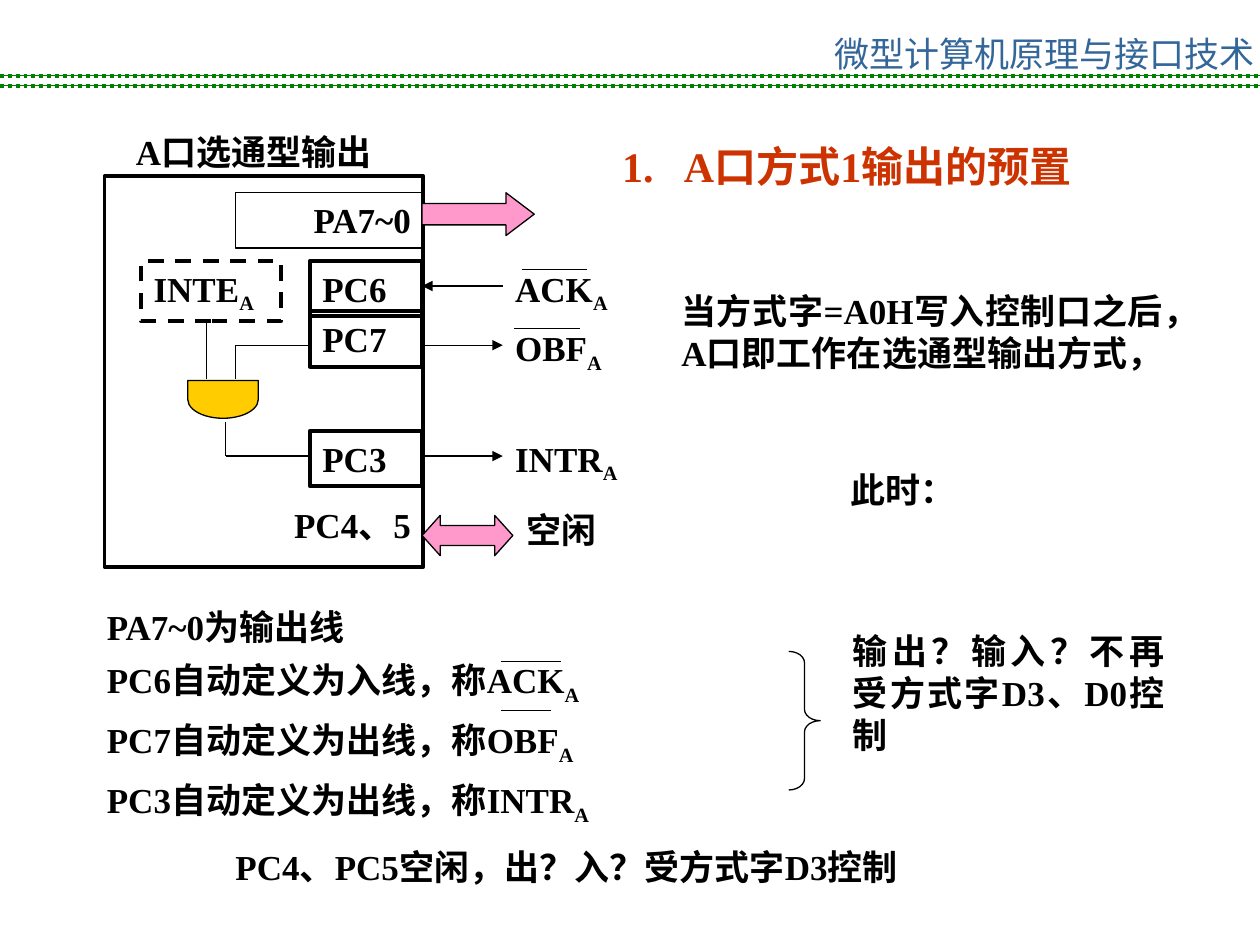
from lxml import etree
from pptx import Presentation
from pptx import util as u
from pptx.dml.color import RGBColor
from pptx.enum import dml, shapes, text
from pptx.oxml.ns import qn

BLACK, GREEN, BLUE, RED = "000000", "008000", "336699", "CC3300"
PINK, YELLOW = "FF99CC", "FFCC00"
LATIN, CHINESE = "Times New Roman", "Noto Sans CJK SC"
LEFT, RIGHT, JUSTIFY = text.PP_ALIGN.LEFT, text.PP_ALIGN.RIGHT, text.PP_ALIGN.JUSTIFY
CHIP_EDGE = 3.35


def color(value):
    """Turn a hex string into a colour."""
    return RGBColor.from_string(value)


def set_all(target, values):
    """Set every attribute named in a dict of format values."""
    for name, value in values.items():
        setattr(target, name, value)


def add_run(paragraph, content, size, ink, font, bold, subscript=False):
    """Add one formatted run to a paragraph."""
    run = paragraph.add_run()
    run.text = content
    set_all(run.font, {"size": u.Pt(size), "name": font, "bold": bold})
    run.font.color.rgb = color(ink)
    properties = run._r.get_or_add_rPr()
    etree.SubElement(properties, qn("a:ea")).set("typeface", CHINESE)
    if subscript:
        properties.set("baseline", "-25000")


def write(shape, lines, align=LEFT, size=20, ink=BLACK, font=LATIN, bold=True, spacing=None):
    """Write lines into a shape; an underscore starts a subscript."""
    frame = shape.text_frame
    set_all(frame, {"word_wrap": True, "vertical_anchor": text.MSO_ANCHOR.TOP})
    for index, line in enumerate(lines):
        paragraph = frame.add_paragraph() if index else frame.paragraphs[0]
        set_all(paragraph, {"alignment": align, "line_spacing": spacing})
        for part, content in enumerate(line.split("_")):
            add_run(paragraph, content, size, ink, font, bold, part == 1)


def add_text(slide, box, *lines, **style):
    """Add a text box."""
    shape = slide.shapes.add_textbox(*map(u.Inches, box))
    write(shape, lines, **style)
    return shape


def add_shape(slide, kind, box, fill=None, width=0.75, dash=None, rotation=0, adjustments=()):
    """Add an outlined preset shape."""
    shape = slide.shapes.add_shape(kind, *map(u.Inches, box))
    shape.shadow.inherit = False
    shape.rotation = rotation
    if fill:
        shape.fill.solid()
        shape.fill.fore_color.rgb = color(fill)
    else:
        shape.fill.background()
    shape.line.color.rgb = color(BLACK)
    set_all(shape.line, {"width": u.Pt(width), "dash_style": dash})
    for index, value in enumerate(adjustments):
        shape.adjustments[index] = value
    return shape


def add_block(slide, box, label, align=LEFT, **style):
    """Add a labelled rectangle."""
    shape = add_shape(slide, shapes.MSO_SHAPE.RECTANGLE, box, **style)
    write(shape, [label], align)


def add_line(slide, x1, y1, x2, y2, ink=BLACK, width=0.75, dash=None, arrow=None):
    """Add a straight line, with an arrowhead at headEnd or tailEnd if named."""
    line = slide.shapes.add_connector(
        shapes.MSO_CONNECTOR.STRAIGHT, *map(u.Inches, (x1, y1, x2, y2)))
    line.line.color.rgb = color(ink)
    set_all(line.line, {"width": u.Pt(width), "dash_style": dash})
    if arrow:
        outline = line.line._get_or_add_ln()
        etree.SubElement(outline, qn("a:" + arrow)).set("type", "triangle")
    etree.SubElement(line._element.spPr, qn("a:effectLst"))


def add_header(slide):
    """Draw the course title and its double dotted rule."""
    for y in (0.6, 0.68):
        add_line(slide, 0, y, 10, y, GREEN)
        add_line(slide, 0, y, 10, y, GREEN, 2.25, dml.MSO_LINE.ROUND_DOT)
    title = add_text(slide, (6.59, 0.21, 3.4, 0.4), "微型计算机原理与接口技术",
                     align=text.PP_ALIGN.CENTER, ink=BLUE, font=CHINESE, bold=False)
    set_all(title.text_frame, {"margin_left": 0, "margin_right": 0})


def add_chip(slide):
    """Draw the port chip with its blocks and AND gate."""
    kinds = shapes.MSO_SHAPE
    add_shape(slide, kinds.RECTANGLE, (0.83, 1.4, 2.53, 3.1), width=2.25)
    for label, top in (("PC6", 2.07), ("PC7", 2.47), ("PC3", 3.42)):
        add_block(slide, (2.46, top, 0.89, 0.44), label, width=2.25)
    add_shape(slide, kinds.FLOWCHART_DELAY, (1.62, 2.89, 0.3, 0.56), YELLOW, rotation=90)
    for wire in ((1.64, 2.54, 1.64, 3.01), (1.87, 2.74, 1.87, 3.01), (1.87, 2.74, 2.46, 2.74),
                 (1.79, 3.35, 1.79, 3.62), (1.79, 3.62, 2.46, 3.62)):
        add_line(slide, *wire)
    add_block(slide, (1.12, 2.07, 1.11, 0.48), "INTE_A", width=2.25,
              dash=dml.MSO_LINE.DASH)
    add_text(slide, (1.72, 3.95, 1.64, 0.44), "PC4、5", align=RIGHT)
    add_block(slide, (1.87, 1.53, 1.49, 0.44), "PA7~0", RIGHT)
    add_text(slide, (0.98, 0.99, 2.53, 0.44), "A口选通型输出")


def add_signals(slide):
    """Draw the signals outside the chip and the bars over active-low names."""
    for label, y, top, arrow in (("ACK_A", 2.27, 2.07, "headEnd"),
                                 ("OBF_A", 2.74, 2.54, "tailEnd"),
                                 ("INTR_A", 3.62, 3.42, "tailEnd")):
        add_line(slide, CHIP_EDGE, y, 3.99, y, arrow=arrow)
        add_text(slide, (3.99, top, 1.03, 0.48), label)
    add_text(slide, (4.08, 3.99, 0.95, 0.44), "空闲")
    for left, y, length in ((4.14, 2.14, 0.52), (4.08, 2.61, 0.52),
                            (3.98, 5.25, 0.47), (3.98, 5.64, 0.39)):
        add_line(slide, left, y, left + length, y)
    kinds = shapes.MSO_SHAPE
    add_shape(slide, kinds.RIGHT_ARROW, (CHIP_EDGE, 1.53, 0.89, 0.34), PINK,
              adjustments=(0.5, 0.66))
    add_shape(slide, kinds.LEFT_RIGHT_ARROW, (CHIP_EDGE, 4.09, 0.72, 0.32), PINK,
              adjustments=(0.5, 0.45))


def add_notes(slide):
    """Write the heading and the explanations."""
    heading = add_text(slide, (4.84, 1.07, 4.73, 0.5), "1.\tA口方式1输出的预置",
                       size=24, ink=RED)
    properties = heading.text_frame.paragraphs[0]._p.get_or_add_pPr()
    indent = u.Inches(0.49)
    properties.set("marL", str(indent))
    properties.set("indent", str(-indent))
    for box, content in (
            ((5.31, 2.25, 4.02, 1.1), "当方式字=A0H写入控制口之后，A口即工作在选通型输出方式，"),
            ((6.65, 3.67, 1.42, 0.44), "此时："),
            ((6.67, 4.95, 2.67, 1.1), "输出？输入？不再受方式字D3、D0控制"),
            ((1.77, 6.66, 5.82, 0.44), "PC4、PC5空闲，出？入？受方式字D3控制")):
        add_text(slide, box, content, align=JUSTIFY)
    add_text(slide, (0.75, 4.67, 4.64, 1.94), "PA7~0为输出线", "PC6自动定义为入线，称ACK_A",
             "PC7自动定义为出线，称OBF_A", "PC3自动定义为出线，称INTR_A",
             align=JUSTIFY, spacing=1.25)
    add_shape(slide, shapes.MSO_SHAPE.RIGHT_BRACE, (6.26, 5.17, 0.25, 1.1),
              adjustments=(0.36, 0.5))


def main():
    """Build and save the slide."""
    presentation = Presentation()
    set_all(presentation, {"slide_width": u.Inches(10), "slide_height": u.Inches(7.5)})
    slide = presentation.slides.add_slide(presentation.slide_layouts[6])
    for add_part in (add_header, add_chip, add_signals, add_notes):
        add_part(slide)
    presentation.save("out.pptx")


if __name__ == "__main__":
    main()
